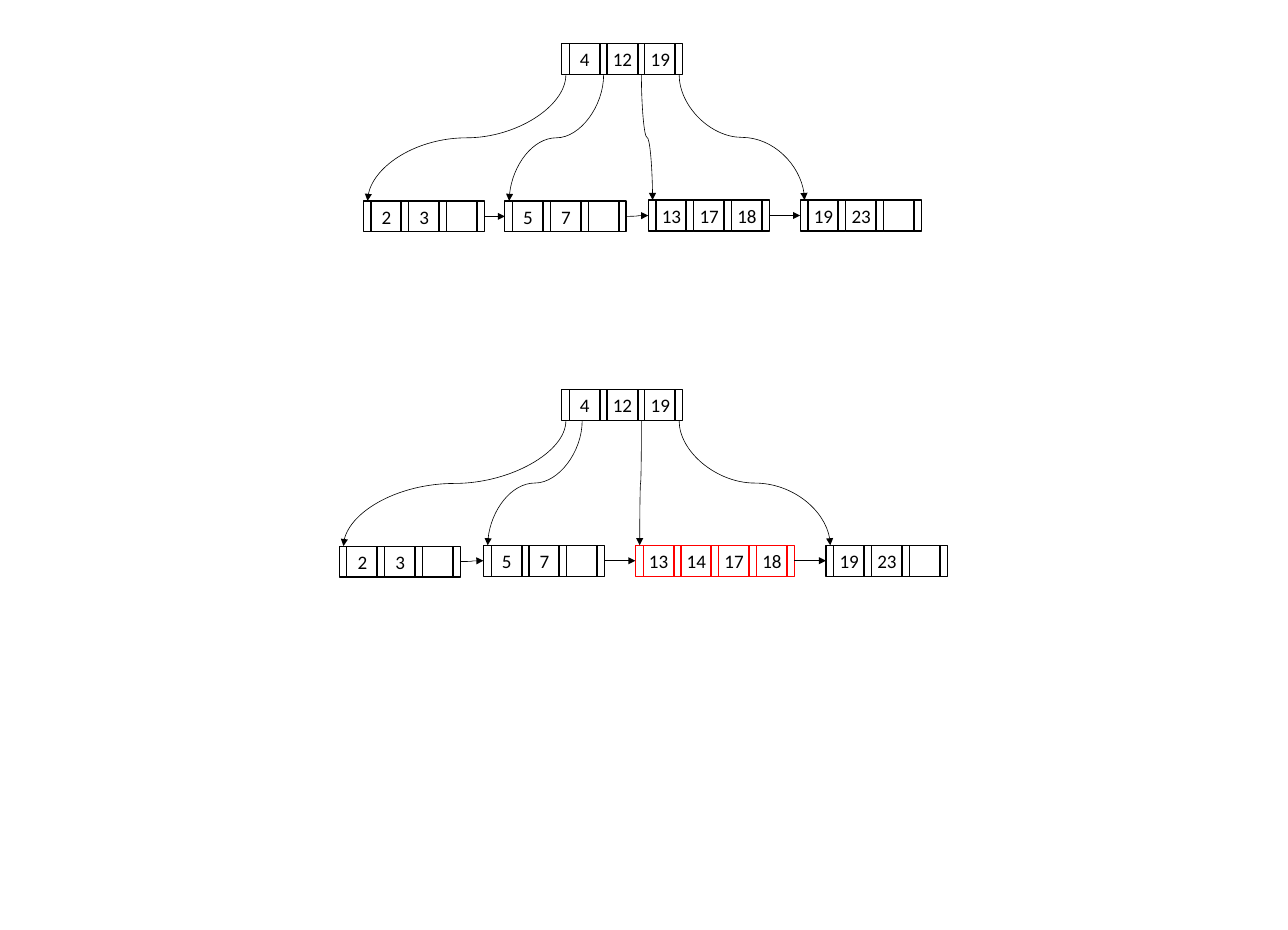
"""Draw a B+ tree before and after inserting key 14."""
import dataclasses
import itertools

import pptx
import pptx.dml.color
import pptx.enum.shapes
import pptx.enum.text
import pptx.oxml.ns
import pptx.oxml.xmlchemy
import pptx.util
import lxml.etree

SCALE = 9144
PITCH, LINK, KEY, SIDE = 44, 9, 36, 36
MID = 5
INK = {"black": "000000", "red": "FF0000"}


@dataclasses.dataclass
class Node:
    left: int
    top: int
    keys: tuple[str, ...]
    ink: str = "black"

    @property
    def right(self) -> int:
        return self.left + PITCH * len(self.keys) + LINK


@dataclasses.dataclass
class Tree:
    root: Node
    leaves: tuple[Node, ...]
    starts: tuple[int, ...]


ROOT = ("4", "12", "19")
TREES = (
    Tree(
        Node(654, 51, ROOT),
        (
            Node(423, 234, ("2", "3", "")),
            Node(588, 234, ("5", "7", "")),
            Node(755, 233, ("13", "17", "18")),
            Node(932, 233, ("19", "23", "")),
        ),
        (659, 703, 747, 791),
    ),
    Tree(
        Node(654, 454, ROOT),
        (
            Node(395, 636, ("2", "3", "")),
            Node(563, 635, ("5", "7", "")),
            Node(740, 635, ("13", "14", "17", "18"), "red"),
            Node(962, 635, ("19", "23", "")),
        ),
        (659, 678, 747, 791),
    ),
)


def px(size: float) -> int:
    return int(size * SCALE)


def tint(name: str) -> pptx.dml.color.RGBColor:
    return pptx.dml.color.RGBColor.from_string(INK[name])


def draw_cell(shapes, left: int, top: int, width: int, ink: str, text: str = "") -> None:
    cell = shapes.add_shape(
        pptx.enum.shapes.MSO_SHAPE.RECTANGLE, px(left), px(top), px(width), px(SIDE)
    )
    cell.shadow.inherit = False
    cell.fill.background()
    cell.line.color.rgb = tint(ink)
    cell.line.width = pptx.util.Pt(1)
    if not text:
        return
    frame = cell.text_frame
    frame.margin_left = frame.margin_right = frame.margin_top = frame.margin_bottom = 0
    frame.vertical_anchor = pptx.enum.text.MSO_ANCHOR.MIDDLE
    line = frame.paragraphs[0]
    line.text = text
    line.alignment = pptx.enum.text.PP_ALIGN.CENTER
    line.font.name = "Calibri"
    line.font.size = pptx.util.Pt(16)
    line.font.color.rgb = tint("black")


def draw_node(slide, node: Node) -> None:
    shapes = slide.shapes.add_group_shape().shapes
    for step, key in enumerate(node.keys):
        left = node.left + PITCH * step
        draw_cell(shapes, left + LINK, node.top, KEY, node.ink, key)
        draw_cell(shapes, left, node.top, LINK, node.ink)
    draw_cell(shapes, node.right - LINK, node.top, LINK, node.ink)


def draw_curve(slide, x1: float, y1: float, x2: float, y2: float, turn: int = 0) -> None:
    if turn:
        cx, cy, half = (x1 + x2) / 2, (y1 + y2) / 2, (y2 - y1) / 2
        x1, y1, x2, y2 = cx - half, cy + cx - x1, cx + half, cy + cx - x2
    curve = slide.shapes.add_connector(
        pptx.enum.shapes.MSO_CONNECTOR.CURVE, px(x1), px(y1), px(x2), px(y2)
    )
    curve.line.color.rgb = tint("black")
    curve.line.width = pptx.util.Pt(0.5)
    props = curve._element.spPr
    name = pptx.oxml.ns.qn
    if turn:
        props.find(name("a:xfrm")).set("rot", str(turn * 60000))
    tail = lxml.etree.SubElement(props.find(name("a:ln")), name("a:tailEnd"))
    tail.set("type", "triangle")
    lxml.etree.SubElement(props, name("a:effectLst"))


def draw_tree(slide, tree: Tree) -> None:
    for node in (tree.root, *tree.leaves):
        draw_node(slide, node)
    for start, leaf in zip(tree.starts, tree.leaves):
        draw_curve(slide, start, tree.root.top + SIDE, leaf.left + MID, leaf.top, 90)
    for leaf, peer in itertools.pairwise(tree.leaves):
        draw_curve(
            slide, leaf.right, leaf.top + SIDE / 2, peer.left, peer.top + SIDE / 2
        )


def main() -> None:
    deck = pptx.Presentation()
    deck.slide_width, deck.slide_height = px(1500), px(1083)
    slide = deck.slides.add_slide(deck.slide_layouts[6])
    for tree in TREES:
        draw_tree(slide, tree)
    deck.save("out.pptx")


if __name__ == "__main__":
    main()
